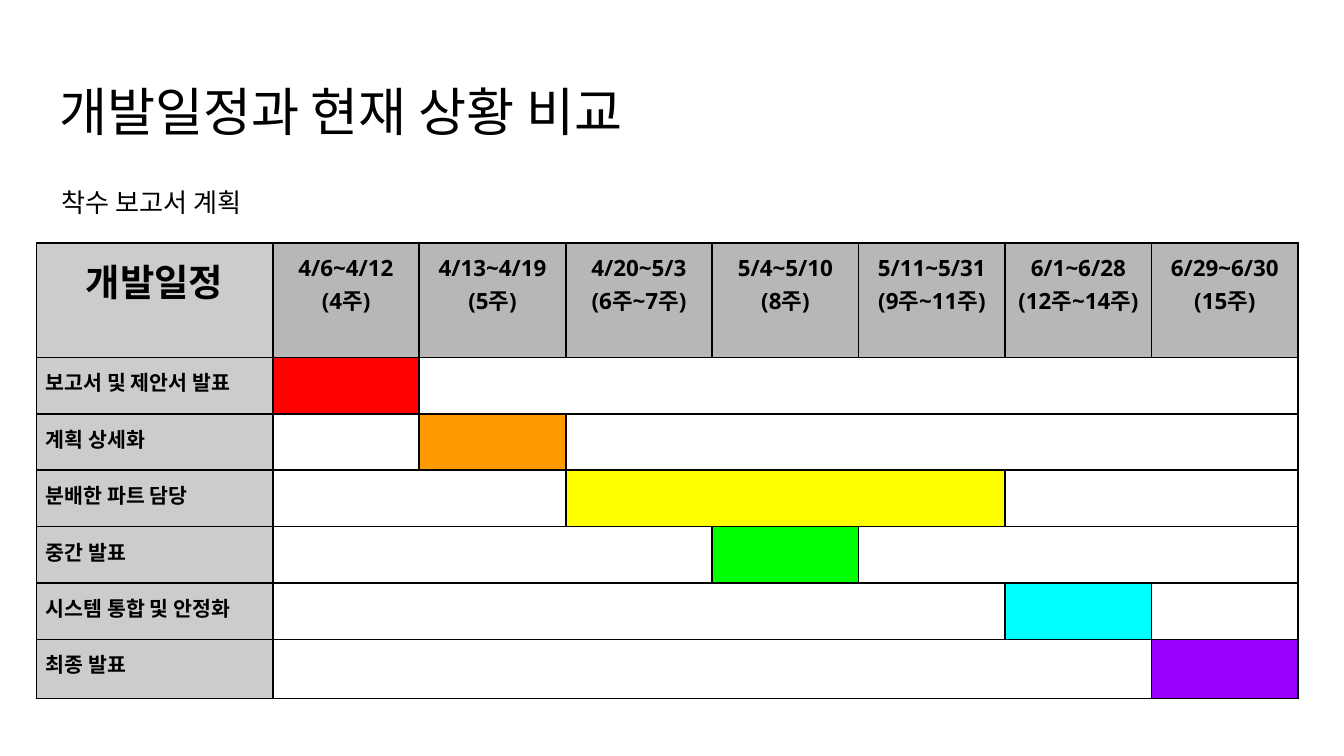
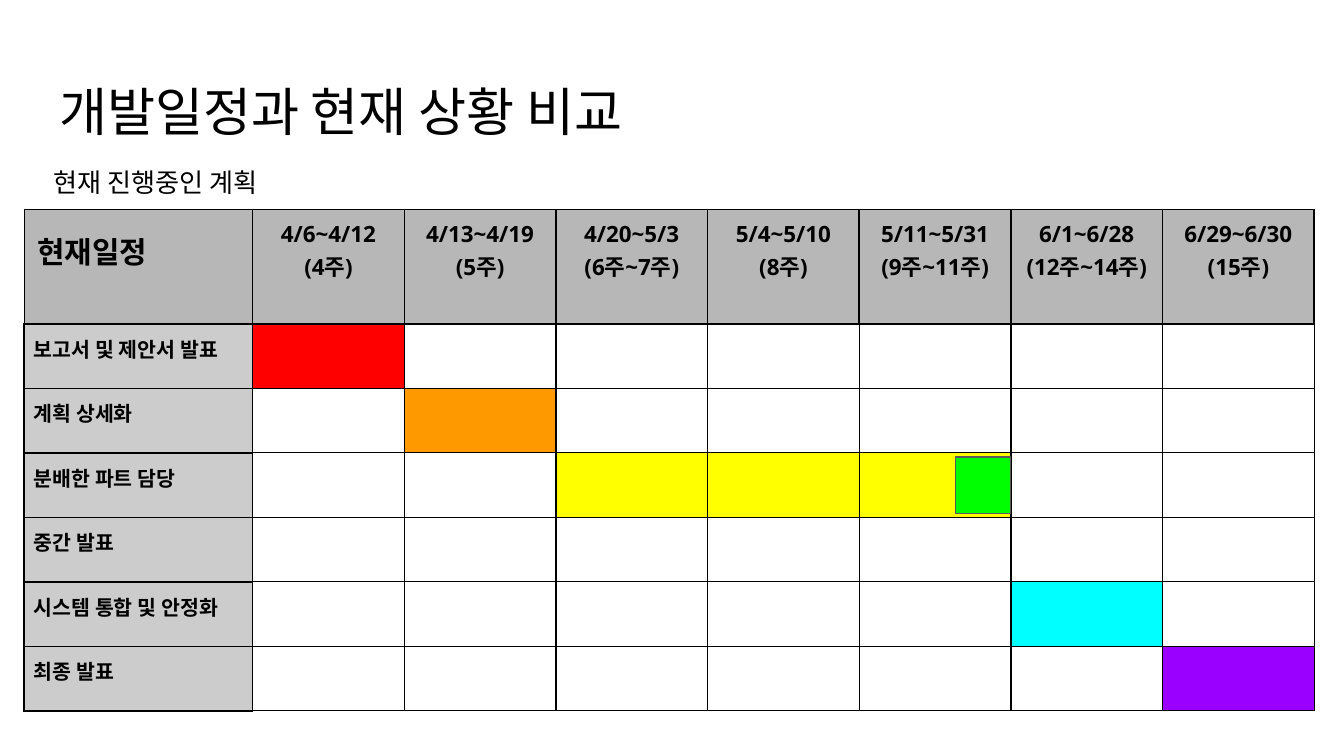
from lxml.etree import SubElement as Sub
from pptx import Presentation
from pptx.dml.color import RGBColor as RGB
from pptx.enum.shapes import MSO_SHAPE as Shape
from pptx.enum.text import MSO_ANCHOR as Anchor, MSO_AUTO_SIZE as Fit, PP_ALIGN as Align
from pptx.oxml.ns import qn
from pptx.util import Inches, Pt

BLACK = RGB(0, 0, 0)
GREY = RGB(0xB7, 0xB7, 0xB7)
PALE = RGB(0xCC, 0xCC, 0xCC)
EDGE = RGB(0x59, 0x59, 0x59)
RED = RGB(0xFF, 0, 0)
ORANGE = RGB(0xFF, 0x99, 0)
YELLOW = RGB(0xFF, 0xFF, 0)
GREEN = RGB(0, 0xFF, 0)
CYAN = RGB(0, 0xFF, 0xFF)
PURPLE = RGB(0x99, 0, 0xFF)

PLAIN, OPEN = "Arial", "Open Sans"
TITLE = "개발일정과 현재 상황 비교"
WEEKS = [
    ("4/6~4/12", "(4주)"),
    ("4/13~4/19", "(5주)"),
    ("4/20~5/3", "(6주~7주)"),
    ("5/4~5/10", "(8주)"),
    ("5/11~5/31", "(9주~11주)"),
    ("6/1~6/28", "(12주~14주)"),
    ("6/29~6/30", "(15주)"),
]
TASKS = ["보고서 및 제안서 발표", "계획 상세화", "분배한 파트 담당",
         "중간 발표", "시스템 통합 및 안정화", "최종 발표"]
PLAN = [(1, 1, RED), (2, 2, ORANGE), (3, 5, YELLOW),
        (4, 4, GREEN), (6, 6, CYAN), (7, 7, PURPLE)]
NOW = PLAN[:3] + [None] + PLAN[4:]


def write(frame, lines, size, font, bold=False, align=Align.LEFT):
    """Fill a text frame with one run per line."""
    frame.word_wrap = True
    for n, line in enumerate(lines):
        para = frame.paragraphs[0] if n == 0 else frame.add_paragraph()
        para.alignment = align
        run = para.add_run()
        run.text = line
        run.font.size = Pt(size)
        run.font.bold = bold
        run.font.color.rgb = BLACK
        run.font.name = font
    return frame


def pad(item, inset):
    """Give a frame or a cell the same inset on all sides."""
    item.margin_left = item.margin_right = Inches(inset)
    item.margin_top = item.margin_bottom = Inches(inset)


def place(shape, left, top, width, height):
    """Move and size a shape."""
    shape.left, shape.top = Inches(left), Inches(top)
    shape.width, shape.height = Inches(width), Inches(height)


def add_title(slide):
    """Write the shared slide title."""
    head = slide.shapes.title
    place(head, 0.34, 0.49, 9.32, 0.63)
    frame = write(head.text_frame, [TITLE], 28, PLAIN)
    frame.auto_size = Fit.NONE
    frame.vertical_anchor = Anchor.TOP
    pad(frame, 0.1)


def add_note(slide, text, *area):
    """Add the line that names the schedule."""
    box = slide.shapes.add_textbox(*map(Inches, area))
    pad(write(box.text_frame, [text], 14, PLAIN), 0.1)


def add_edges(cell, row, col, thin):
    """Draw the four borders, heavier around headers and labels."""
    rim = row == 0 or col == 0
    first = row == col == 0
    heavy = {
        "L": (rim or col == 1) and not first,
        "R": rim,
        "T": (rim or row == 1) and not first,
        "B": rim,
    }
    props = cell._tc.get_or_add_tcPr()
    for side, thick in heavy.items():
        line = Sub(props, qn("a:ln" + side), w=str(Pt(1 if thick else thin)))
        Sub(Sub(line, qn("a:solidFill")), qn("a:srgbClr"), val=str(BLACK))


def paint(cell, color):
    """Fill a cell, or leave it clear."""
    if color is None:
        cell.fill.background()
    else:
        cell.fill.solid()
        cell.fill.fore_color.rgb = color


def shrink(cell):
    """Keep an empty cell from stretching its row."""
    para = cell.text_frame.paragraphs[0]
    Sub(para._p, qn("a:endParaRPr"), sz="1100")


def add_grid(slide, left, top, wide, step, rows, thin):
    """Add the schedule table with its week headers and task labels."""
    area = left, top, wide + step * len(WEEKS), sum(rows)
    frame = slide.shapes.add_table(len(rows), len(WEEKS) + 1, *map(Inches, area))
    grid = frame.table
    grid.first_row = grid.horz_banding = False
    for n, col in enumerate(grid.columns):
        col.width = Inches(step if n else wide)
    for n, high in enumerate(rows):
        grid.rows[n].height = Inches(high)
        for m in range(len(grid.columns)):
            cell = grid.cell(n, m)
            add_edges(cell, n, m, thin)
            pad(cell, 0.07)
            paint(cell, GREY if n == 0 else PALE if m == 0 else None)
            if n and m:
                shrink(cell)
    for n, week in enumerate(WEEKS, 1):
        write(grid.cell(0, n).text_frame, week, 12, OPEN, True, Align.CENTER)
    for n, task in enumerate(TASKS, 1):
        write(grid.cell(n, 0).text_frame, [task], 11, OPEN, True)
    return grid


def add_bars(grid, bars, join=False):
    """Colour the weeks of each task, joining cells on request."""
    last = len(WEEKS)
    for row, bar in enumerate(bars, 1):
        if bar is None:
            continue
        start, end, color = bar
        for col in range(start, end + 1):
            paint(grid.cell(row, col), color)
        for a, b in [(1, start - 1), (start, end), (end + 1, last)]:
            if join and a < b:
                grid.cell(row, a).merge(grid.cell(row, b))


def add_mark(slide, *area):
    """Add the green box that marks present progress."""
    mark = slide.shapes.add_shape(Shape.RECTANGLE, *map(Inches, area))
    mark.shadow.inherit = False
    mark.fill.solid()
    mark.fill.fore_color.rgb = GREEN
    mark.line.color.rgb = EDGE
    mark.line.width = Pt(0.75)


def add_page(deck):
    """Add a slide with the shared title."""
    slide = deck.slides.add_slide(deck.slide_layouts[5])
    add_title(slide)
    return slide


def add_plan(deck):
    """Build the slide of the planned schedule."""
    slide = add_page(deck)
    rows = [0.85] + [0.42] * 5 + [0.44]
    grid = add_grid(slide, 0.27, 1.81, 1.76, 1.09, rows, 1)
    head = grid.cell(0, 0)
    write(head.text_frame, ["개발일정"], 20, OPEN, True, Align.CENTER)
    paint(head, PALE)
    add_bars(grid, PLAN, True)
    add_note(slide, "착수 보고서 계획", 0.36, 1.29, 1.88, 0.42)


def add_now(deck):
    """Build the slide of the present schedule."""
    slide = add_page(deck)
    rows = [0.85] + [0.48] * 6
    step = (9.6 - 1.7) / len(WEEKS)
    grid = add_grid(slide, 0.18, 1.56, 1.7, step, rows, 0.75)
    head = grid.cell(0, 0)
    write(head.text_frame, ["현재일정"], 16, PLAIN, True)
    head.text_frame.paragraphs[0].line_spacing = 1.15
    pad(head, 0.1)
    add_bars(grid, NOW)
    add_mark(slide, 7.11, 3.4, 0.41, 0.42)
    add_note(slide, "현재 진행중인 계획", 0.3, 1.14, 1.91, 0.32)


def main():
    """Build and save the deck."""
    deck = Presentation()
    deck.slide_width = Inches(10)
    deck.slide_height = deck.slide_width * 9 // 16
    add_plan(deck)
    add_now(deck)
    deck.save("out.pptx")


main()
